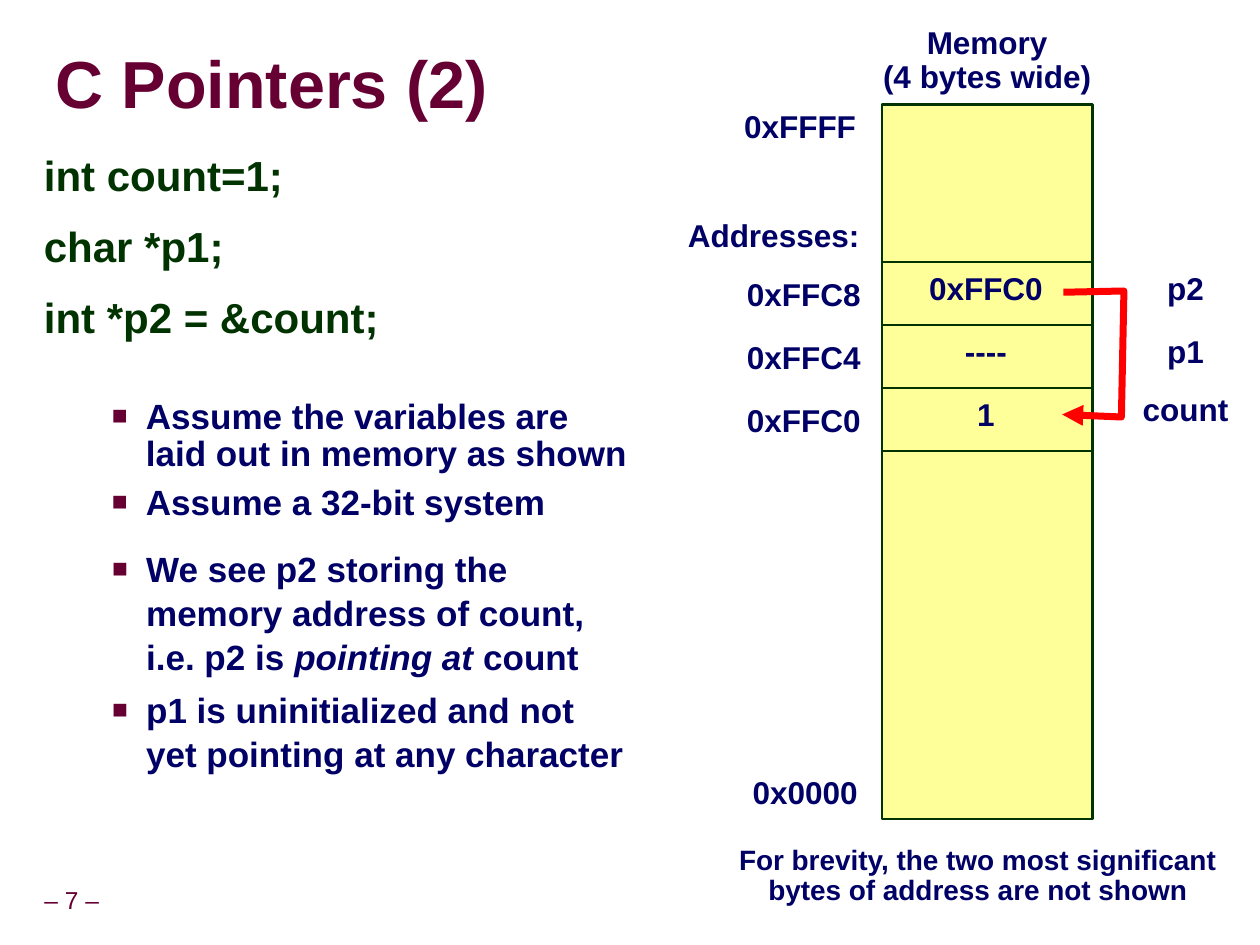
from lxml import etree
from pptx import Presentation
from pptx.dml.color import RGBColor
from pptx.enum.shapes import MSO_SHAPE
from pptx.enum.text import MSO_ANCHOR, MSO_AUTO_SIZE, PP_ALIGN
from pptx.oxml.ns import qn
from pptx.util import Inches, Pt

MAROON, NAVY, GREEN, YELLOW, RED = "660033", "000066", "003300", "FFFF99", "FF0000"


def color(value):
    return RGBColor.from_string(value)


def place(shape, box):
    shape.left, shape.top, shape.width, shape.height = map(Inches, box)


def add_element(parent, tag, **attributes):
    child = etree.SubElement(parent, qn(tag))
    for name, value in attributes.items():
        child.set(name, str(value))
    return child


def set_frame(frame, inset=None, anchor=MSO_ANCHOR.TOP, wrap=True):
    frame.auto_size = MSO_AUTO_SIZE.NONE
    frame.word_wrap = wrap
    frame.vertical_anchor = anchor
    if inset is not None:
        frame.margin_left = frame.margin_right = Inches(inset)
        frame.margin_top = frame.margin_bottom = Inches(inset)


def write(para, text, size=18, fill=NAVY, bold=True, italic=False,
          align=PP_ALIGN.LEFT, spacing=0.9, before=0):
    para.alignment = align
    para.line_spacing = spacing
    para.space_before = Pt(before)
    span = para.add_run()
    span.text = text
    font = span.font
    font.name, font.size = "Arial", Pt(size)
    font.bold, font.italic = bold, italic
    font.color.rgb = color(fill)
    return span


def next_para(frame):
    first = frame.paragraphs[0]
    return frame.add_paragraph() if first.runs else first


def make_bullet(para):
    para.level = 1
    props = para._p.get_or_add_pPr()
    props.set("marL", str(Inches(0.81)))
    props.set("indent", str(Inches(-0.27)))
    add_element(add_element(props, "a:buClr"), "a:srgbClr", val=MAROON)
    add_element(props, "a:buSzPct", val=75000)
    add_element(props, "a:buFont", typeface="Arial")
    add_element(props, "a:buChar", char="■")


def label(page, lines, center, top, width=1.1, height=0.38, **style):
    box = page.shapes.add_textbox(0, 0, 0, 0)
    place(box, (center - width / 2, top, width, height))
    set_frame(box.text_frame, wrap=False)
    for line in lines.split("\n"):
        write(next_para(box.text_frame), line, align=PP_ALIGN.CENTER, **style)
    return box


def add_title(page, box):
    title = page.shapes.title
    place(title, box)
    set_frame(title.text_frame, inset=0, anchor=MSO_ANCHOR.MIDDLE)
    span = write(title.text_frame.paragraphs[0], "C Pointers (2)", size=38,
                 fill=MAROON, spacing=0.87)
    effects = etree.Element(qn("a:effectLst"))
    shadow = add_element(effects, "a:outerShdw", blurRad=38100, dist=38100, dir=2700000)
    add_element(add_element(shadow, "a:srgbClr", val="000000"), "a:alpha", val=43000)
    span.font._element.find(qn("a:solidFill")).addnext(effects)


def add_code(page, box):
    """Declarations followed by the assumptions about them."""
    shape = page.shapes.add_textbox(0, 0, 0, 0)
    place(shape, box)
    frame = shape.text_frame
    set_frame(frame)
    for line in ("int count=1;", "char *p1;", "int *p2 = &count;"):
        write(next_para(frame), line, size=24, fill=GREEN, spacing=0.95, before=13)
    for line, before in (("Assume the variables are laid out in memory as shown", 32),
                         ("Assume a 32-bit system", 6)):
        para = next_para(frame)
        write(para, line, size=20, before=before)
        make_bullet(para)


def add_remarks(page, box):
    body = page.placeholders[1]
    place(body, box)
    frame = body.text_frame
    set_frame(frame)
    remarks = (
        (("We see p2 storing the memory address of count, i.e. p2 is ", False),
         ("pointing at", True), (" count", False)),
        (("p1 is uninitialized and not yet pointing at any character", False),),
    )
    for remark in remarks:
        para = next_para(frame)
        for text, italic in remark:
            write(para, text, size=20, italic=italic, spacing=1.05, before=5)
        make_bullet(para)


def add_cell(page, box):
    cell = page.shapes.add_shape(MSO_SHAPE.RECTANGLE, *map(Inches, box))
    cell.shadow.inherit = False
    cell.fill.solid()
    cell.fill.fore_color.rgb = color(YELLOW)
    cell.line.color.rgb = color(GREEN)
    cell.line.width = Pt(1.5)


def add_pointer_arrow(page, points):
    corners = [(Inches(x), Inches(y)) for x, y in points]
    builder = page.shapes.build_freeform(*corners[0])
    builder.add_line_segments(corners[1:], close=False)
    arrow = builder.convert_to_shape()
    arrow.shadow.inherit = False
    arrow.fill.background()
    arrow.line.color.rgb = color(RED)
    arrow.line.width = Pt(4)
    add_element(arrow.line._get_or_add_ln(), "a:tailEnd", type="triangle")


def add_memory(page, box):
    left, top, width, height = box
    middle, bottom = left + width / 2, top + height
    address_center, name_center = left - 0.62, left + 2.41
    first_row, row_height = top + 1.25, 0.5
    add_cell(page, box)
    label(page, "Memory\n(4 bytes wide)", middle, top - 0.66, width=1.87, height=0.65)
    label(page, "0xFFFF", left - 0.65, top)
    label(page, "Addresses:", left - 0.86, first_row - 0.38, width=1.58)
    label(page, "0x0000", left - 0.61, bottom - 0.38)
    rows = (("0xFFC8", "0xFFC0", "p2", 0.04),
            ("0xFFC4", "----", "p1", 0.04),
            ("0xFFC0", "1", "count", 0))
    for index, (address, value, name, name_drop) in enumerate(rows):
        row = first_row + index * row_height
        add_cell(page, (left, row, width, row_height))
        label(page, address, address_center, row + 0.09)
        label(page, value, middle - 0.01, row + 0.04)
        label(page, name, name_center, row + name_drop)
    add_pointer_arrow(page, [(left + x, first_row + y) for x, y in
                             ((1.44, 0.24), (1.92, 0.23), (1.9, 1.23), (1.43, 1.21))])
    label(page, "For brevity, the two most significant\nbytes of address are not shown",
          left + 0.76, bottom + 0.17, width=4.04, height=0.59, size=16)


def add_page_number(page, center, top):
    number = label(page, "– 7 –", center, top, width=0.66, height=0.31,
                   size=14, fill=MAROON, bold=False)
    set_frame(number.text_frame, inset=0.05, anchor=MSO_ANCHOR.MIDDLE, wrap=False)


def main():
    deck = Presentation()
    deck.slide_width, deck.slide_height = Inches(10), Inches(7.5)
    page = deck.slides.add_slide(deck.slide_layouts[1])
    add_title(page, (0.44, 0.27, 9.53, 0.85))
    add_code(page, (0.25, 1.17, 4.85, 3.08))
    add_remarks(page, (0.25, 4.28, 4.85, 2.38))
    add_memory(page, (7, 0.83, 1.67, 5.67))
    add_page_number(page, 0.57, 7)
    deck.save("out.pptx")


if __name__ == "__main__":
    main()
